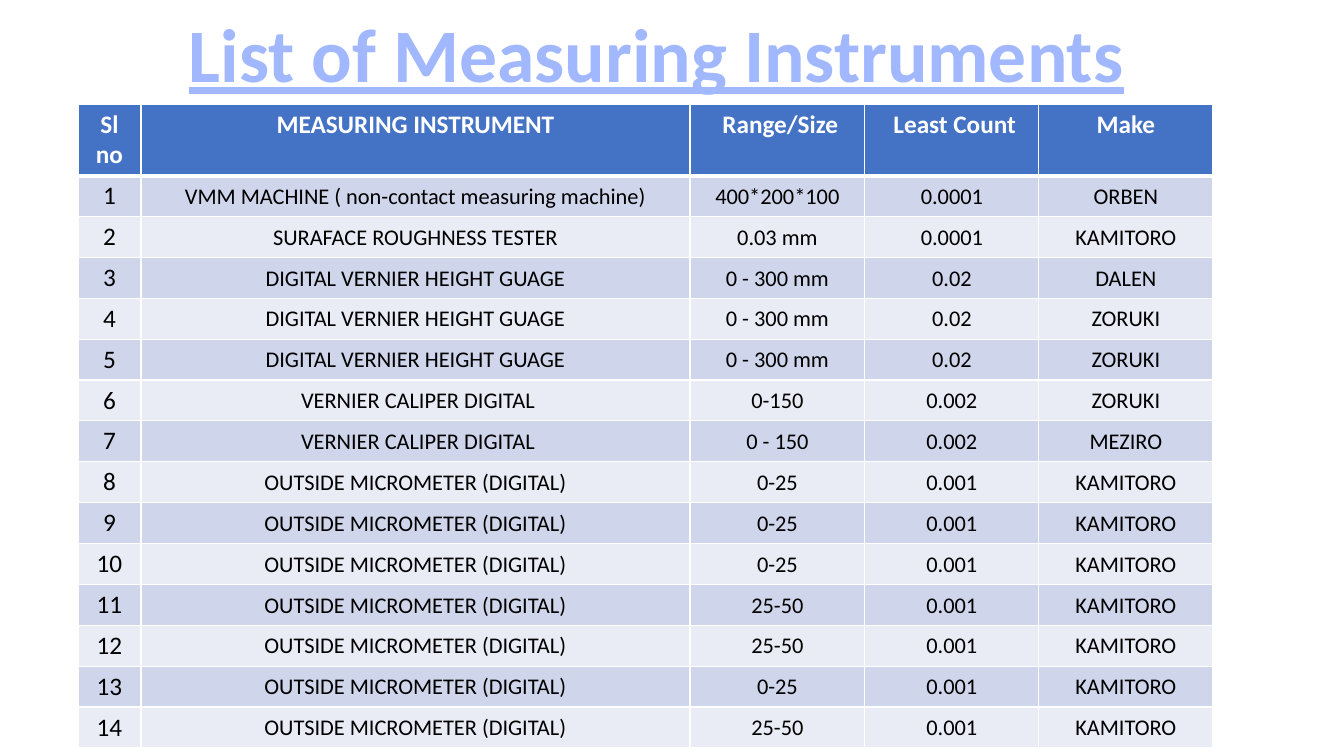
from pptx import Presentation
from pptx.dml.color import RGBColor
from pptx.enum.text import MSO_ANCHOR, PP_ALIGN
from pptx.oxml import parse_xml
from pptx.oxml.ns import nsdecls
from pptx.util import Pt

SCALE = 12192000 / 1344
COLORS = {
    "title": "A1B8FF",
    "header": "4472C4",
    "odd": "CFD5EA",
    "even": "E9EBF5",
    "white": "FFFFFF",
    "black": "000000",
}
HEADINGS = ["Sl no", "MEASURING INSTRUMENT", " Range/Size", " Least Count", "Make"]
HEIGHT_GAUGE = "DIGITAL VERNIER HEIGHT GUAGE"
CALIPER = " VERNIER CALIPER DIGITAL"
MICROMETER = "OUTSIDE MICROMETER (DIGITAL)"
INSTRUMENTS = [
    ("VMM MACHINE ( non-contact measuring machine)", "400*200*100", "0.0001", "ORBEN"),
    ("SURAFACE ROUGHNESS TESTER", "0.03 mm", "0.0001", "KAMITORO"),
    (HEIGHT_GAUGE, "0 - 300 mm", "0.02", "DALEN"),
    (HEIGHT_GAUGE, "0 - 300 mm", "0.02", "ZORUKI"),
    (HEIGHT_GAUGE, "0 - 300 mm", "0.02", "ZORUKI"),
    (CALIPER, "0-150", "0.002", "ZORUKI"),
    (CALIPER, "0 - 150", "0.002", "MEZIRO"),
]
for size in ["0-25", "0-25", "0-25", "25-50", "25-50", "0-25", "25-50"]:
    INSTRUMENTS.append((MICROMETER, size, "0.001", "KAMITORO"))
COLUMN_WIDTHS = [63, 549, 175, 174, 174]
HEADER_HEIGHT = 70
BODY_HEIGHT = 565


def px(length):
    return round(length * SCALE)


def write(frame, text, size, color, bold=False, underline=False):
    para = frame.paragraphs[0]
    para.alignment = PP_ALIGN.CENTER
    span = para.add_run()
    span.text = text
    span.font.name = "Calibri"
    span.font.size = Pt(size)
    span.font.bold = bold
    span.font.underline = underline
    span.font.color.rgb = RGBColor.from_string(COLORS[color])


deck = Presentation()
deck.slide_width = px(1344)
deck.slide_height = px(756)
page = deck.slides.add_slide(deck.slide_layouts[5])

title = page.shapes.title
title.left, title.top, title.width, title.height = px(174), px(2), px(965), px(102)
title.text_frame.word_wrap = False
title.text_frame.vertical_anchor = MSO_ANCHOR.TOP
write(title.text_frame, "List of Measuring Instruments", 54, "title", bold=True, underline=True)

rows = [HEADINGS]
for number, instrument in enumerate(INSTRUMENTS, 1):
    rows.append([str(number), *instrument])

table = page.shapes.add_table(
    len(rows), len(HEADINGS), px(78), px(104), px(sum(COLUMN_WIDTHS)), px(HEADER_HEIGHT + BODY_HEIGHT)
).table
for column, width in zip(table.columns, COLUMN_WIDTHS):
    column.width = px(width)

for row_index, values in enumerate(rows):
    is_header = row_index == 0
    table.rows[row_index].height = px(HEADER_HEIGHT if is_header else BODY_HEIGHT / len(INSTRUMENTS))
    fill = "header" if is_header else "odd" if row_index % 2 else "even"
    for column_index, value in enumerate(values):
        cell = table.cell(row_index, column_index)
        for side in "LRTB":
            thick = (is_header and side == "B") or (row_index == 1 and side == "T")
            cell._tc.get_or_add_tcPr().append(parse_xml(
                f'<a:ln{side} {nsdecls("a")} w="{Pt(3 if thick else 1)}"><a:solidFill>'
                f'<a:srgbClr val="{COLORS["white"]}"/></a:solidFill></a:ln{side}>'
            ))
        cell.fill.solid()
        cell.fill.fore_color.rgb = RGBColor.from_string(COLORS[fill])
        is_detail = not is_header and column_index > 0
        if is_detail:
            cell.vertical_anchor = MSO_ANCHOR.MIDDLE
            cell.margin_left = cell.margin_right = cell.margin_top = px(1)
            cell.margin_bottom = 0
        write(
            cell.text_frame,
            value,
            16 if is_detail else 18,
            "white" if is_header else "black",
            bold=is_header,
        )

deck.save("out.pptx")
